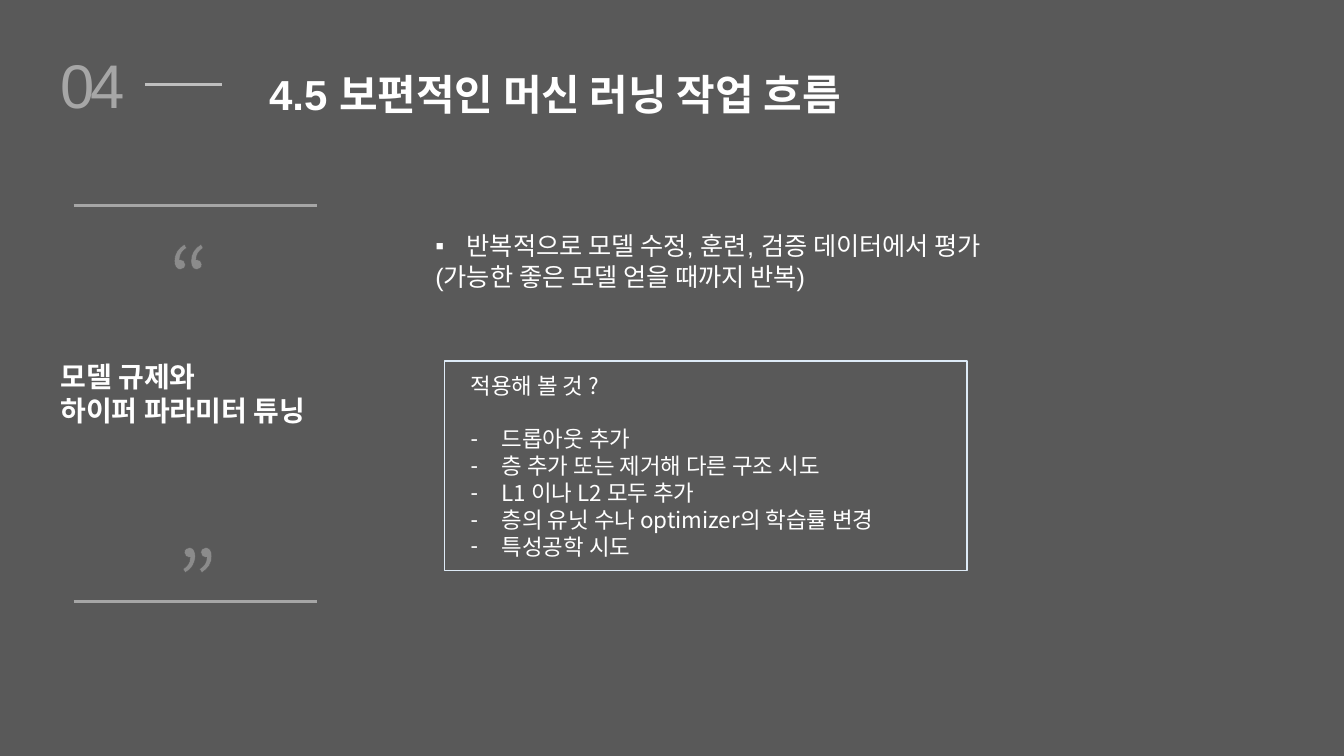
from lxml import etree
from pptx import Presentation
from pptx.dml.color import RGBColor
from pptx.enum import shapes, text
from pptx.oxml import ns
from pptx.util import Inches, Pt

KOREAN = "Noto Sans CJK KR"
LATIN = "Arial"
WHITE = "FFFFFF"
GREY = "A6A6A6"
BACKGROUND = "595959"
PANEL_LINE = "DEEBF7"

CHAPTER = "04"
TITLE = "4.5 보편적인 머신 러닝 작업 흐름"
TOPIC = ["모델 규제와", "하이퍼 파라미터 튜닝"]
SUMMARY = ["반복적으로 모델 수정, 훈련, 검증 데이터에서 평가",
           "(가능한 좋은 모델 얻을 때까지 반복)"]
IDEAS_HEADING = "적용해 볼 것 ?"
IDEAS = ["드롭아웃 추가", "층 추가 또는 제거해 다른 구조 시도", "L1 이나 L2 모두 추가",
         "층의 유닛 수나 optimizer의 학습률 변경", "특성공학 시도"]

# left, right, height on the slide, colour
RULES = [(1.44, 2.2, 0.84, "BFBFBF"), (0.73, 3.14, 2.04, GREY), (0.73, 3.14, 5.97, GREY)]
QUOTES = [("“", -0.28, 2.19), ("”", -0.2, 5.2)]
PANEL = (4.41, 3.58, 5.18, 2.08)


def rgb(value):
    return RGBColor.from_string(value)


def add_child(parent, tag, **attributes):
    return etree.SubElement(parent, ns.qn(tag), attributes)


def add_rule(left, right, y, color):
    rule = slide.shapes.add_connector(shapes.MSO_CONNECTOR.STRAIGHT, Inches(left), Inches(y),
                                      Inches(right), Inches(y))
    rule.line.color.rgb = rgb(color)
    rule.line.width = Pt(2.25)
    add_child(rule._element.spPr, "a:effectLst")


def add_text(lines, box, size, font=KOREAN, color=WHITE, bold=False, centered=False,
             wrap=True, spacing=0, outline=None):
    """Add a text box; each line is a string or a (string, bullet) pair."""
    frame = slide.shapes.add_textbox(*map(Inches, box)).text_frame
    frame.word_wrap = wrap
    frame.auto_size = text.MSO_AUTO_SIZE.SHAPE_TO_FIT_TEXT
    for number, line in enumerate(lines):
        words, bullet = (line, None) if isinstance(line, str) else line
        paragraph = frame.add_paragraph() if number else frame.paragraphs[0]
        if centered:
            paragraph.alignment = text.PP_ALIGN.CENTER
        if bullet:
            indent = Inches(0.31)
            properties = paragraph._p.get_or_add_pPr()
            properties.set("marL", str(indent))
            properties.set("indent", str(-indent))
            add_child(properties, "a:buFont", typeface=LATIN)
            add_child(properties, "a:buChar", char=bullet)
        run = paragraph.add_run()
        run.text = words
        run.font.size = Pt(size)
        run.font.bold = bold
        run.font.color.rgb = rgb(color)
        run.font.name = font
        character = run._r.get_or_add_rPr()
        add_child(character, "a:ea", typeface=KOREAN)
        if spacing:
            character.set("spc", str(spacing * 100))
        if outline:
            edge = etree.Element(ns.qn("a:ln"), w=str(Pt(0.75)))
            edge_color = add_child(add_child(edge, "a:solidFill"), "a:srgbClr", val=outline)
            add_child(edge_color, "a:alpha", val="30000")
            character.insert(0, edge)
    return frame


presentation = Presentation()
presentation.slide_width, presentation.slide_height = Inches(13.33), Inches(7.5)
slide = presentation.slides.add_slide(presentation.slide_layouts[6])
slide.background.fill.solid()
slide.background.fill.fore_color.rgb = rgb(BACKGROUND)

add_text([CHAPTER], (0.3, 0.42, 1.24, 0.84), 44, font=LATIN, color=GREY, centered=True,
         spacing=-3)
for rule_place in RULES:
    add_rule(*rule_place)
for mark, left, top in QUOTES:
    add_text([mark], (left, top, 4.31, 1.11), 60, centered=True, outline=BACKGROUND)
add_text(TOPIC, (0.5, 3.52, 2.92, 1.11), 20, bold=True, wrap=False)
add_text([(SUMMARY[0], "▪"), SUMMARY[1]], (4.22, 2.24, 6.21, 0.71), 18, font=LATIN, wrap=False)

panel = slide.shapes.add_shape(shapes.MSO_SHAPE.RECTANGLE, *map(Inches, PANEL))
panel.shadow.inherit = False
panel.fill.background()
panel.line.color.rgb = rgb(PANEL_LINE)
panel.line.width = Pt(1)
ideas = add_text([IDEAS_HEADING] + [(idea, "-") for idea in IDEAS], (4.57, 3.64, 4.57, 2.02), 16,
                 wrap=False)
ideas.paragraphs[1].space_before = Pt(19)

add_text([TITLE], (2.57, 0.63, 7.15, 0.61), 30, font=LATIN, bold=True)

presentation.save("out.pptx")
